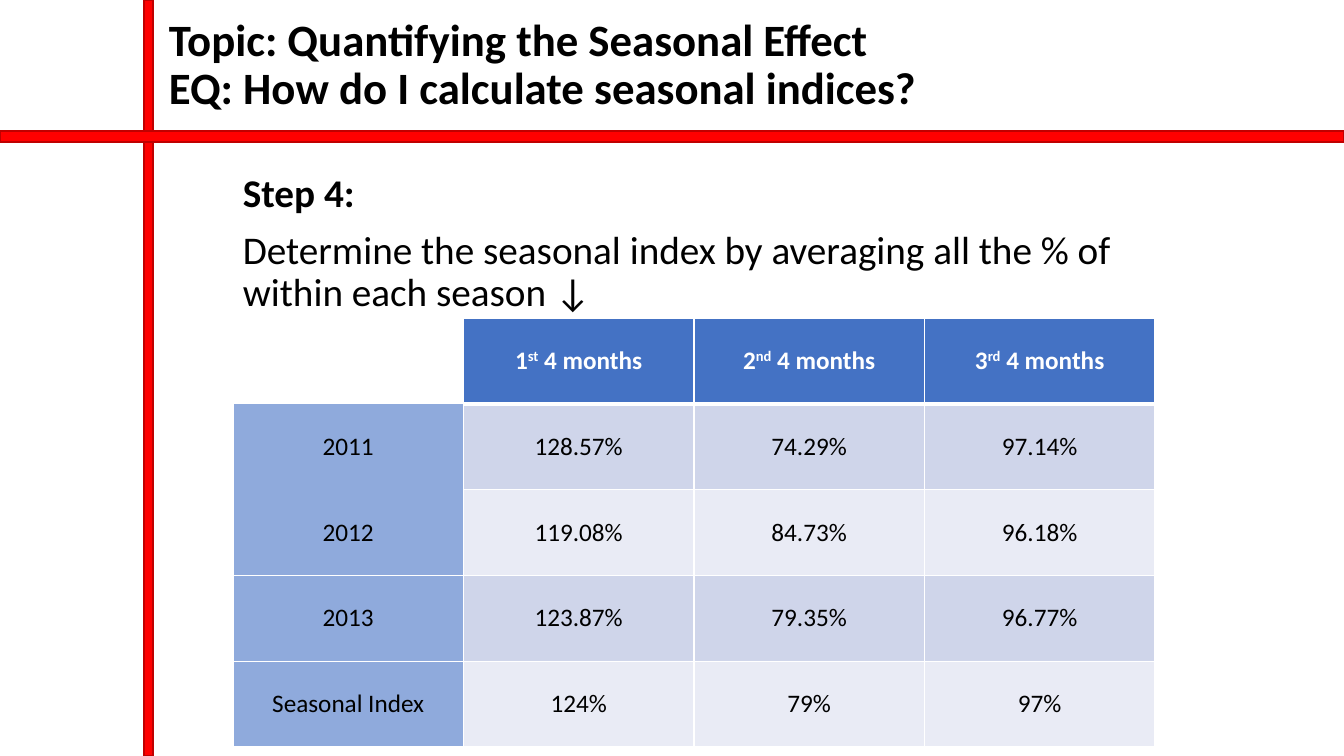
from lxml import etree
from pptx import Presentation
from pptx.dml.color import RGBColor
from pptx.enum.shapes import MSO_SHAPE
from pptx.enum.text import MSO_ANCHOR, PP_ALIGN
from pptx.oxml.ns import qn
from pptx.util import Pt

RECT = MSO_SHAPE.RECTANGLE
TOP, MIDDLE = MSO_ANCHOR.TOP, MSO_ANCHOR.MIDDLE
CENTER = PP_ALIGN.CENTER

TITLE = ["Topic: Quantifying the Seasonal Effect\vEQ: How do I calculate seasonal indices?"]
BODY = [
    "Step 4:",
    "Determine the seasonal index by averaging all the % of within each season ↓",
]
HEADS = [("1", "st"), ("2", "nd"), ("3", "rd")]
SPAN = " 4 months"
ROWS = [
    ("2011", "128.57%", "74.29%", "97.14%"),
    ("2012", "119.08%", "84.73%", "96.18%"),
    ("2013", "123.87%", "79.35%", "96.77%"),
    ("Seasonal Index", "124%", "79%", "97%"),
]
COLORS = {
    "ink": "000000", "white": "FFFFFF", "red": "FF0000", "edge": "C00000",
    "head": "4472C4", "side": "8FAADC", "odd": "CFD5EA", "even": "E9EBF5",
}
# left, top, width, height in px
BARS = [(144, 0, 9, 756), (0, 131, 1344, 11)]
TITLE_BOX = (159, 4, 1138, 124)
BODY_BOX = (233, 169, 955, 180)
GRID = (233, 318, 922, 429)


def px(n):
    return round(n * 914400 / 100.8)


def color(name):
    return RGBColor.from_string(COLORS[name])


def style(font, size, ink="ink", bold=False):
    font.color.rgb = color(ink)
    for key, value in {"name": "Calibri", "size": Pt(size), "bold": bold}.items():
        setattr(font, key, value)


def add_text(slide, box, lines, size, bolds, anchor):
    frame = slide.shapes.add_textbox(*map(px, box)).text_frame
    frame.word_wrap = True
    frame.vertical_anchor = anchor
    for i, (line, bold) in enumerate(zip(lines, bolds)):
        para = frame.add_paragraph() if i else frame.paragraphs[0]
        para.text = line
        para.line_spacing = 0.9
        if i:
            para.space_before = Pt(10)
        for run in para.runs:
            style(run.font, size, bold=bold)


def add_bar(slide, box):
    bar = slide.shapes.add_shape(RECT, *map(px, box))
    bar.shadow.inherit = False
    bar.fill.solid()
    bar.fill.fore_color.rgb = color("red")
    bar.line.color.rgb = color("edge")
    bar.line.width = Pt(1)


def set_edges(cell, widths):
    """Draw white cell borders; widths maps a side to points, 0 for none."""
    props = cell._tc.get_or_add_tcPr()
    for i, side in enumerate("LRTB"):
        width = widths.get(side, 1)
        line = etree.Element(qn("a:ln" + side), w=str(Pt(width)))
        if width:
            fill = etree.SubElement(line, qn("a:solidFill"))
            etree.SubElement(fill, qn("a:srgbClr"), val=COLORS["white"])
        else:
            etree.SubElement(line, qn("a:noFill"))
        props.insert(i, line)


def fill_cell(cell, runs, fill, ink="ink", bold=False):
    cell.fill.solid()
    cell.fill.fore_color.rgb = color(fill)
    cell.vertical_anchor = MIDDLE
    para = cell.text_frame.paragraphs[0]
    para.alignment = CENTER
    for i, text in enumerate(runs):
        run = para.add_run()
        run.text = text
        style(run.font, 18, ink, bold)
        if i == 1:
            run.font._element.set("baseline", "30000")


def add_grid(slide):
    count = len(ROWS) + 1, len(HEADS) + 1
    table = slide.shapes.add_table(*count, *map(px, GRID)).table
    for row in table.rows:
        row.height = px(GRID[3] / count[0])
    for col in table.columns:
        col.width = px(GRID[2] / count[1])

    fill_cell(table.cell(0, 0), [], "white")
    set_edges(table.cell(0, 0), dict.fromkeys("LRTB", 0))
    for c, (num, suffix) in enumerate(HEADS, 1):
        cell = table.cell(0, c)
        fill_cell(cell, [num, suffix, SPAN], "head", "white", True)
        set_edges(cell, {"B": 3})
    for r, values in enumerate(ROWS, 1):
        band = "odd" if r % 2 else "even"
        for c, value in enumerate(values):
            cell = table.cell(r, c)
            fill_cell(cell, [value], band if c else "side")
            widths = {"T": 3} if c and r == 1 else {}
            if c == 0 and r < 3:
                widths = {"T": 0, "B": r - 1}
            set_edges(cell, widths)


def main():
    deck = Presentation()
    deck.slide_width, deck.slide_height = px(1344), px(756)
    slide = deck.slides.add_slide(deck.slide_layouts[6])
    add_text(slide, TITLE_BOX, TITLE, 32, [True], MIDDLE)
    for box in BARS:
        add_bar(slide, box)
    add_text(slide, BODY_BOX, BODY, 28, [True, False], TOP)
    add_grid(slide)
    deck.save("out.pptx")


if __name__ == "__main__":
    main()
